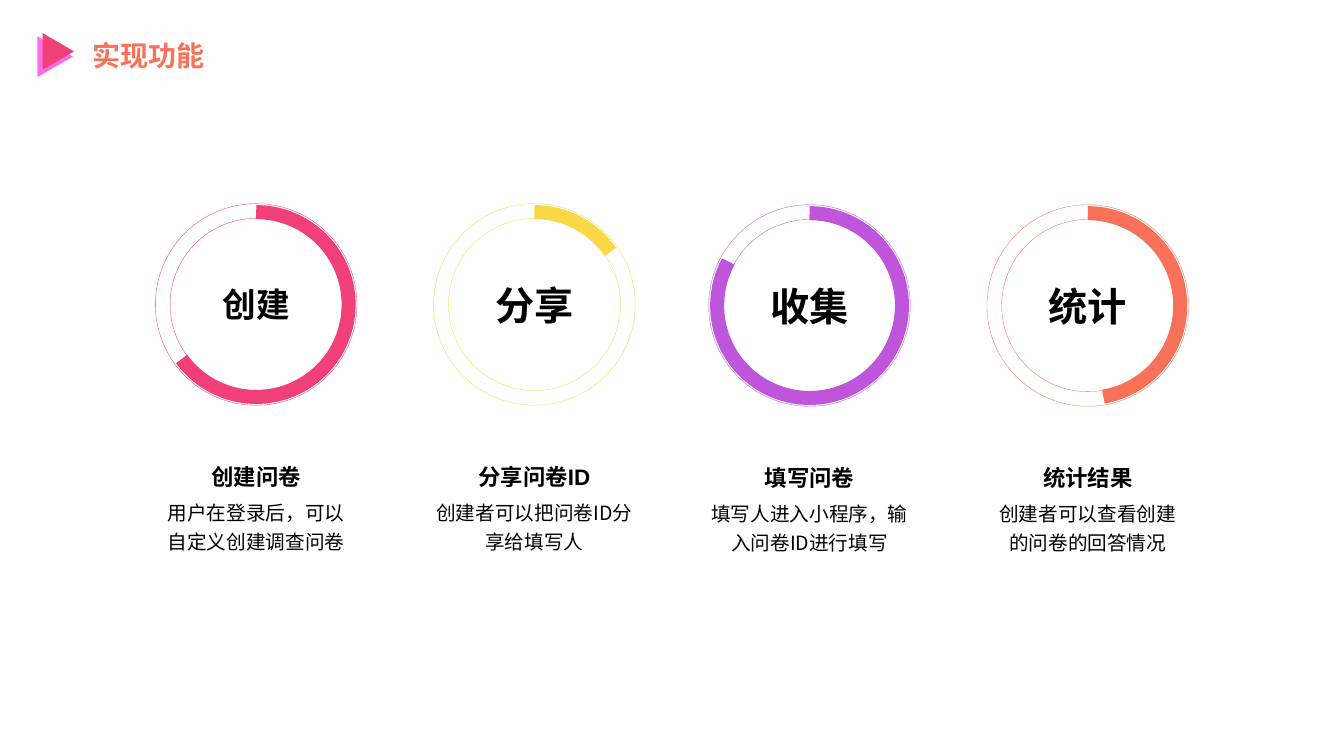
from lxml.etree import SubElement
from pptx import Presentation
from pptx.dml.color import RGBColor
from pptx.enum.shapes import MSO_SHAPE as Form
from pptx.enum.text import MSO_ANCHOR as Anchor, MSO_AUTO_SIZE as Fit, PP_ALIGN as Align
from pptx.oxml.ns import qn
from pptx.util import Pt

SCALE = 9525
CJK = "Noto Sans CJK SC"
BLACK = RGBColor(0x00, 0x00, 0x00)
CORAL = RGBColor(0xF7, 0x72, 0x58)
PINK = RGBColor(0xFF, 0x6C, 0xE4)
ROSE = RGBColor(0xF0, 0x40, 0x77)
GOLD = RGBColor(0xF8, 0xD8, 0x45)
PURPLE = RGBColor(0xBF, 0x55, 0xDB)

RING = 192
STEPS = [
    (148, 194, ROSE, 143.85, "创建", 24, "创建问卷", "用户在登录后，可以自定义创建调查问卷", 182),
    (413, 194, GOLD, 325.29, "分享", 28, "分享问卷ID", "创建者可以把问卷ID分享给填写人", 187),
    (675, 195, PURPLE, 208.52, "收集", 28, "填写问卷", "填写人进入小程序，输入问卷ID进行填写", 188),
    (940, 195, CORAL, 80.3, "统计", 28, "统计结果", "创建者可以查看创建的问卷的回答情况", 186),
]


def px(*sizes):
    return [round(size * SCALE) for size in sizes]


def write(frame, text, size, color=BLACK, bold=False, face=CJK, align=Align.CENTER):
    para = frame.paragraphs[0]
    para.alignment = align
    run = para.add_run()
    run.text = text
    look = {"size": Pt(size), "bold": bold, "name": face}
    for key, value in look.items():
        setattr(run.font, key, value)
    run.font.color.rgb = color
    props = run._r.get_or_add_rPr()
    east = SubElement(props, qn("a:ea"), typeface=CJK)
    props.find(qn("a:latin")).addnext(east)
    return para


def set_frame(frame, inset, anchor, fit):
    look = {"word_wrap": True, "vertical_anchor": anchor, "auto_size": fit}
    look.update({f"margin_{side}": px(inset)[0] for side in ("left", "right", "top", "bottom")})
    for key, value in look.items():
        setattr(frame, key, value)


def add_form(slide, form, box, fill=None, line=None, width=0.25):
    shape = slide.shapes.add_shape(form, *px(*box))
    shape.shadow.inherit = False
    if fill is None:
        shape.fill.background()
    else:
        shape.fill.solid()
        shape.fill.fore_color.rgb = fill
    if line is None:
        shape.line.fill.background()
    else:
        shape.line.color.rgb = line
        shape.line.width = Pt(width)
    return shape


def add_label(slide, box, text, size, **look):
    frame = slide.shapes.add_textbox(*px(*box)).text_frame
    set_frame(frame, 0, Anchor.TOP, Fit.SHAPE_TO_FIT_TEXT)
    return write(frame, text, size, **look)


def add_head(slide, left, top, text):
    for x, y, wide, high, color in ((0, 3, 39, 34, PINK), (5, 0, 35, 30, ROSE)):
        mark = add_form(slide, Form.ISOSCELES_TRIANGLE, (left + x, top + y, wide, high), color)
        mark.rotation = 90
    title = slide.shapes.title
    title.left, title.top, title.width, title.height = px(left + 45, top - 2, 272, 42)
    frame = title.text_frame
    set_frame(frame, 5, Anchor.TOP, Fit.SHAPE_TO_FIT_TEXT)
    frame.margin_left = frame.margin_right = px(10)[0]
    write(frame, text, 20, CORAL, True, align=Align.LEFT)


def add_ring(slide, left, top, color, end, text, size):
    def inset(gap):
        return left + gap, top + gap, RING - 2 * gap, RING - 2 * gap

    add_form(slide, Form.OVAL, inset(0), line=color)
    core = add_form(slide, Form.OVAL, inset(14), line=color)
    set_frame(core.text_frame, 5, Anchor.MIDDLE, Fit.NONE)
    write(core.text_frame, text, size, bold=True)
    arc = add_form(slide, Form.ARC, inset(8), line=color, width=10)
    for spot, angle in enumerate((270, end)):
        arc.adjustments[spot] = angle * 0.6


def add_step(slide, left, top, color, end, word, size, name, note, wide):
    add_ring(slide, left, top, color, end, word, size)
    add_label(slide, (left + 24, top + 247, 144, 26), name, 16, bold=True, face="Arial")
    para = add_label(slide, (left + (RING - wide) / 2, top + 279, wide, 52), note, 14)
    para.line_spacing = 1.2


def main():
    deck = Presentation()
    deck.slide_width, deck.slide_height = px(1280, 720)
    slide = deck.slides.add_slide(deck.slide_layouts[5])
    add_head(slide, 33, 34, "实现功能")
    for step in STEPS:
        add_step(slide, *step)
    deck.save("out.pptx")


if __name__ == "__main__":
    main()
